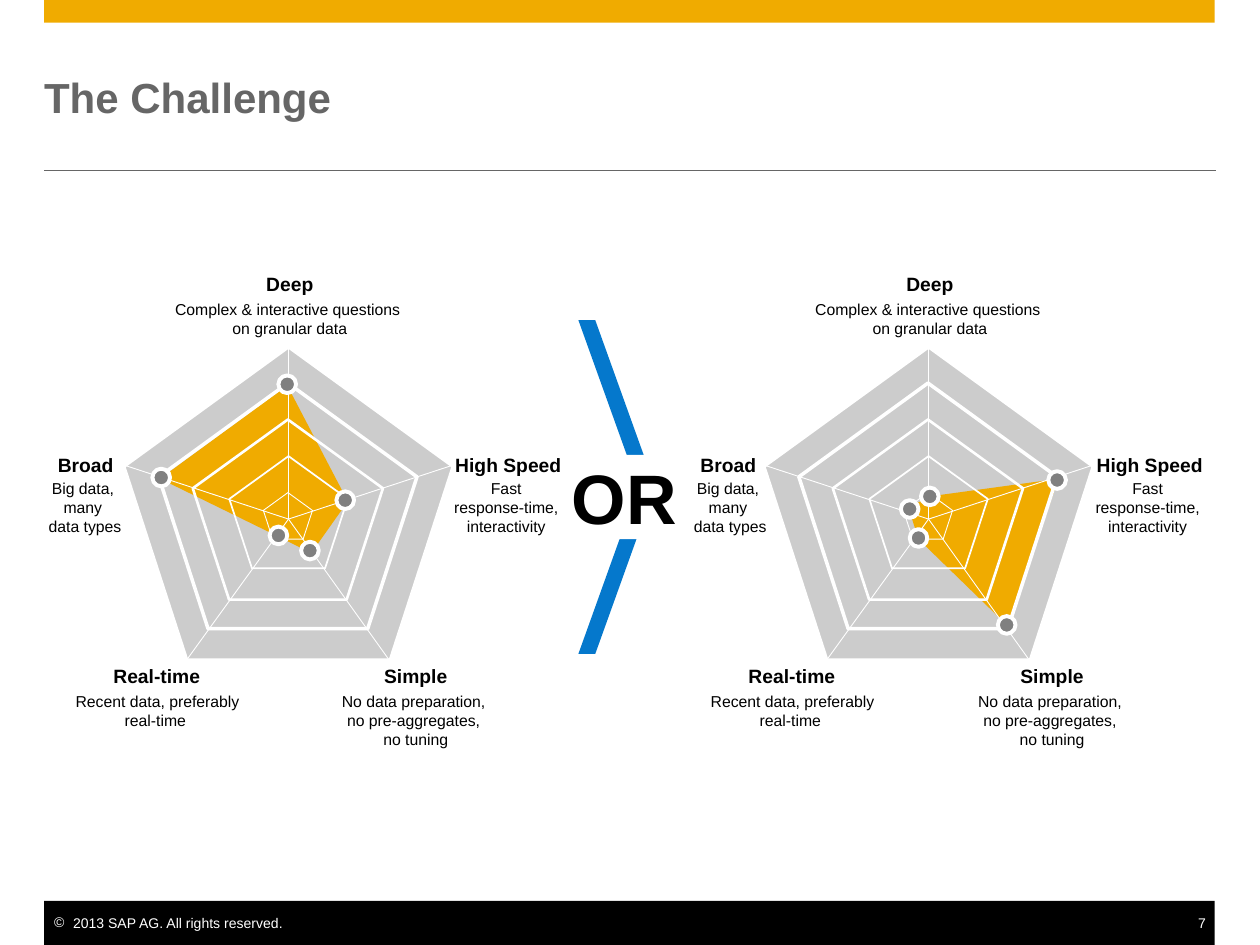
from dataclasses import dataclass

from lxml.etree import SubElement
from pptx import Presentation
from pptx.dml.color import RGBColor
from pptx.enum.shapes import MSO_CONNECTOR, MSO_SHAPE
from pptx.enum.text import MSO_ANCHOR, PP_ALIGN
from pptx.oxml.ns import qn
from pptx.util import Pt

EMU_PER_PX = 9144
COLORS = {
    "gold": "F0AB00",
    "gray": "666666",
    "black": "000000",
    "white": "FFFFFF",
    "blue": "0076CB",
    "pentagon": "CCCCCC",
    "marker": "808080",
}
MARKER_SIZE = 14


@dataclass(frozen=True)
class Box:
    left: int
    top: int
    width: int
    height: int

    def shifted(self, offset: int) -> "Box":
        return Box(self.left + offset, self.top, self.width, self.height)

    def emu(self) -> list[int]:
        return [px(n) for n in (self.left, self.top, self.width, self.height)]


@dataclass(frozen=True)
class Style:
    size: int
    color: str = "black"
    bold: bool = False
    align: PP_ALIGN = PP_ALIGN.CENTER
    anchor: MSO_ANCHOR = MSO_ANCHOR.TOP
    left_inset: int = 0
    right_inset: int = 0
    wrap: bool = True


@dataclass(frozen=True)
class Ring:
    box: Box
    weight: float


@dataclass(frozen=True)
class Label:
    heading: str
    heading_box: Box
    lines: tuple[str, ...]
    body_box: Box
    heading_shift: int
    body_shift: int


@dataclass(frozen=True)
class Radar:
    offset: int
    area: tuple[tuple[int, int], ...]
    markers: tuple[tuple[int, int], ...]


HEADING = Style(11, bold=True, anchor=MSO_ANCHOR.MIDDLE)
BODY = Style(9)
TITLE = Style(24, "gray", True, PP_ALIGN.LEFT, MSO_ANCHOR.MIDDLE)
COPYRIGHT = Style(8, "white", align=PP_ALIGN.LEFT, left_inset=8)
PAGE_NUMBER = Style(8, "white", align=PP_ALIGN.RIGHT, right_inset=8)
CHOICE = Style(40, bold=True, align=PP_ALIGN.LEFT, left_inset=6, right_inset=6, wrap=False)

PENTAGON = Box(98, 275, 262, 249)
RINGS = (
    Ring(Box(182, 362, 94, 89), 1),
    Ring(Box(209, 391, 39, 37), 0.5),
    Ring(Box(153, 333, 151, 143), 1.5),
    Ring(Box(126, 304, 205, 195), 2),
)
CENTER = (229, 412)
CORNERS = ((229, 275), (98, 369), (360, 369), (148, 524), (309, 524))

LABELS = (
    Label("Broad", Box(24, 359, 88, 19),
          ("Big data, ", "many ", "data types"), Box(-7, 380, 149, 45), 510, 512),
    Label("Deep", Box(186, 216, 88, 19),
          ("Complex & interactive questions ", "on granular data"),
          Box(116, 238, 228, 30), 508, 508),
    Label("High Speed", Box(325, 359, 157, 19),
          ("Fast ", "response-time, ", "interactivity "), Box(326, 380, 155, 45), 509, 509),
    Label("Simple", Box(277, 527, 106, 19),
          ("No data preparation, ", "no pre-aggregates, ", "no tuning"),
          Box(243, 549, 174, 45), 505, 505),
    Label("Real-time", Box(46, 527, 157, 19),
          ("Recent data, preferably real-time ",), Box(50, 549, 150, 30), 504, 504),
)
RADARS = (
    Radar(0,
          ((228, 306), (276, 398), (247, 439), (221, 426), (127, 380)),
          ((267, 390), (121, 372), (221, 298), (214, 418), (239, 430))),
    Radar(508,
          ((721, 403), (738, 394), (840, 380), (800, 497), (729, 428)),
          ((832, 374), (715, 397), (731, 387), (722, 420), (792, 489))),
)


def px(length: int) -> int:
    return length * EMU_PER_PX


def rgb(name: str) -> RGBColor:
    return RGBColor.from_string(COLORS[name])


def paint(shape, fill: str | None, weight: float = 0) -> None:
    shape.shadow.inherit = False
    if fill:
        shape.fill.solid()
        shape.fill.fore_color.rgb = rgb(fill)
    else:
        shape.fill.background()
    if weight:
        shape.line.color.rgb = rgb("white")
        shape.line.width = Pt(weight)
    else:
        shape.line.fill.background()


def add_preset(slide, kind: MSO_SHAPE, box: Box, fill: str | None, weight: float = 0):
    shape = slide.shapes.add_shape(kind, *box.emu())
    paint(shape, fill, weight)
    return shape


def add_line(slide, start: tuple[int, int], end: tuple[int, int], color: str) -> None:
    connector = slide.shapes.add_connector(
        MSO_CONNECTOR.STRAIGHT, *(px(n) for n in start + end))
    connector.line.color.rgb = rgb(color)
    connector.line.width = Pt(0.5)
    SubElement(connector.element.spPr, qn("a:effectLst"))


def write_text(shape, lines: tuple[str, ...], style: Style):
    frame = shape.text_frame
    frame.word_wrap = style.wrap
    frame.vertical_anchor = style.anchor
    frame.margin_left, frame.margin_right = px(style.left_inset), px(style.right_inset)
    frame.margin_top = frame.margin_bottom = 0
    paragraph = frame.paragraphs[0]
    paragraph.alignment = style.align
    for index, line in enumerate(lines):
        if index:
            paragraph.add_line_break()
        run = paragraph.add_run()
        run.text = line
        run.font.name = "Arial"
        run.font.size = Pt(style.size)
        run.font.bold = style.bold
        run.font.color.rgb = rgb(style.color)
    return paragraph


def add_text(slide, box: Box, lines: tuple[str, ...], style: Style):
    return write_text(slide.shapes.add_textbox(*box.emu()), lines, style)


def add_bullet(paragraph, character: str, color: str, indent: int) -> None:
    properties = paragraph._p.get_or_add_pPr()
    properties.set("marL", str(px(indent)))
    properties.set("indent", str(-px(indent)))
    bullet_color = SubElement(properties, qn("a:buClr"))
    SubElement(bullet_color, qn("a:srgbClr"), val=COLORS[color])
    SubElement(properties, qn("a:buFont"), typeface="Arial")
    SubElement(properties, qn("a:buChar"), char=character)


def add_radar(slide, radar: Radar) -> None:
    add_preset(slide, MSO_SHAPE.REGULAR_PENTAGON, PENTAGON.shifted(radar.offset),
               "pentagon", 2.25)
    builder = slide.shapes.build_freeform(*radar.area[0], scale=EMU_PER_PX)
    builder.add_line_segments(radar.area[1:], close=True)
    paint(builder.convert_to_shape(), "gold")
    for ring in RINGS:
        add_preset(slide, MSO_SHAPE.REGULAR_PENTAGON, ring.box.shifted(radar.offset),
                   None, ring.weight)
    for x, y in CORNERS:
        add_line(slide, (x + radar.offset, y), (CENTER[0] + radar.offset, CENTER[1]), "white")
    for label in LABELS:
        heading_shift = label.heading_shift if radar.offset else 0
        body_shift = label.body_shift if radar.offset else 0
        add_text(slide, label.heading_box.shifted(heading_shift), (label.heading,), HEADING)
        add_text(slide, label.body_box.shifted(body_shift), label.lines, BODY)
    for left, top in radar.markers:
        add_preset(slide, MSO_SHAPE.OVAL, Box(left, top, MARKER_SIZE, MARKER_SIZE),
                   "marker", 2.25)


def main() -> None:
    presentation = Presentation()
    presentation.slide_width, presentation.slide_height = px(1000), px(750)
    slide = presentation.slides.add_slide(presentation.slide_layouts[6])

    add_preset(slide, MSO_SHAPE.RECTANGLE, Box(35, 0, 929, 18), "gold")
    add_line(slide, (35, 135), (965, 135), "gray")
    add_preset(slide, MSO_SHAPE.RECTANGLE, Box(35, 715, 929, 35), "black")
    copyright_line = add_text(slide, Box(35, 726, 190, 13),
                              ("2013 SAP AG. All rights reserved.",), COPYRIGHT)
    add_bullet(copyright_line, "©", "white", 15)
    add_text(slide, Box(943, 726, 22, 13), ("7",), PAGE_NUMBER)
    add_text(slide, Box(35, 35, 929, 83), ("The Challenge",), TITLE)

    chevron = add_preset(slide, MSO_SHAPE.CHEVRON, Box(459, 254, 61, 265), "blue")
    chevron.adjustments[0] = 0.78
    fill_color = chevron.element.spPr.find(qn("a:solidFill"))[0]
    SubElement(fill_color, qn("a:alpha"), val="98000")

    choice = add_preset(slide, MSO_SHAPE.RECTANGLE, Box(448, 361, 96, 67), "white")
    write_text(choice, ("OR",), CHOICE)
    for radar in RADARS:
        add_radar(slide, radar)
    presentation.save("out.pptx")


if __name__ == "__main__":
    main()
